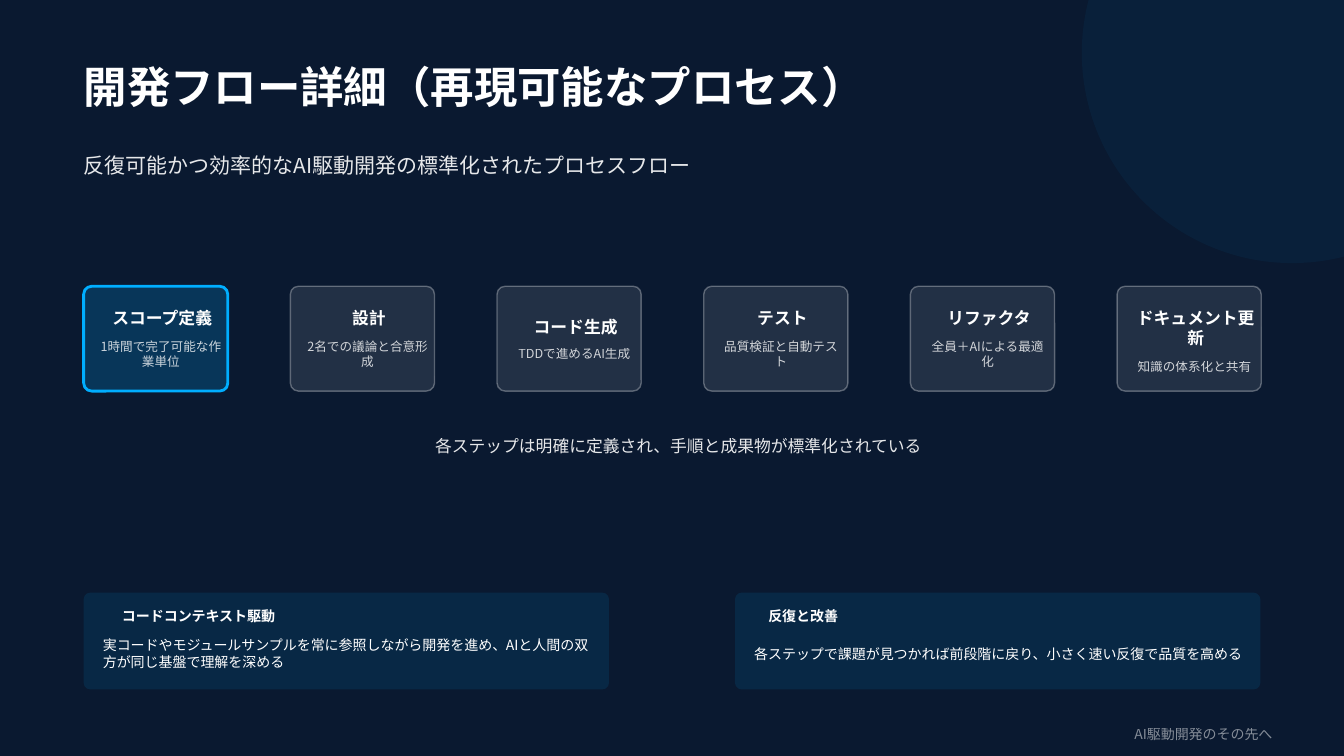
from lxml import etree
from pptx import Presentation
from pptx.dml.color import RGBColor
from pptx.enum.shapes import MSO_SHAPE
from pptx.enum.text import MSO_ANCHOR, MSO_AUTO_SIZE, PP_ALIGN
from pptx.oxml.ns import qn
from pptx.util import Inches, Pt

NAVY = RGBColor(0x0A, 0x19, 0x30)
CYAN = RGBColor(0x00, 0xAE, 0xFF)
WHITE = RGBColor(0xFF, 0xFF, 0xFF)
FONT = "Noto Sans CJK JP"
MARGIN = 0.83


def add_panel(kind, left, top, width, height, color, opacity, radius=None):
    panel = page.shapes.add_shape(
        kind, Inches(left), Inches(top), Inches(width), Inches(height))
    panel.shadow.inherit = False
    panel.fill.solid()
    panel.fill.fore_color.rgb = color
    tint = panel.element.spPr.find(qn("a:solidFill"))[0]
    etree.SubElement(tint, qn("a:alpha"), val=str(opacity * 1000))
    panel.line.fill.background()
    if radius:
        panel.adjustments[0] = radius
    return panel


def write(text, left, top, width, height, size, bold=False, opacity=100,
          align=PP_ALIGN.LEFT, box=None):
    place = [Inches(length) for length in (left, top, width, height)]
    if box is None:
        box = page.shapes.add_textbox(*place)
    box.left, box.top, box.width, box.height = place
    frame = box.text_frame
    frame.word_wrap = True
    frame.auto_size = MSO_AUTO_SIZE.NONE
    frame.vertical_anchor = MSO_ANCHOR.MIDDLE
    frame.margin_left = frame.margin_right = 0
    frame.margin_top = frame.margin_bottom = 0
    para = frame.paragraphs[0]
    para.alignment = align
    para.space_before = Pt(0)
    span = para.add_run()
    span.text = text
    span.font.name = FONT
    span.font.size = Pt(size)
    span.font.bold = bold
    span.font.color.rgb = WHITE
    props = span.font.fill and span._r.get_or_add_rPr()
    etree.SubElement(props, qn("a:ea"), typeface=FONT)
    if opacity < 100:
        tint = props.find(qn("a:solidFill"))[0]
        etree.SubElement(tint, qn("a:alpha"), val=str(opacity * 1000))


deck = Presentation()
deck.slide_width, deck.slide_height = Inches(13.33), Inches(7.5)
page = deck.slides.add_slide(deck.slide_layouts[0])

# Background
page.background.fill.solid()
page.background.fill.fore_color.rgb = NAVY

# Title and subtitle
write("開発フロー詳細（再現可能なプロセス）", MARGIN, 0.53, 8.3, 0.64, 31,
      bold=True, box=page.shapes.title)
write("反復可能かつ効率的なAI駆動開発の標準化されたプロセスフロー",
      MARGIN, 1.49, 6.3, 0.3, 15, opacity=90, box=page.placeholders[1])

# Corner circle
add_panel(MSO_SHAPE.OVAL, 10.73, -1.56, 4.17, 4.17, CYAN, 5)

# Process steps: name, detail, and the vertical centre of each
STEPS = [
    ("スコープ定義", "1時間で完了可能な作業単位", 3.155, 3.51),
    ("設計", "2名での議論と合意形成", 3.155, 3.51),
    ("コード生成", "TDDで進めるAI生成", 3.245, 3.51),
    ("テスト", "品質検証と自動テスト", 3.155, 3.51),
    ("リファクタ", "全員＋AIによる最適化", 3.155, 3.51),
    ("ドキュメント更新", "知識の体系化と共有", 3.25, 3.64),
]
STEP_PITCH = 2.05
for index, (name, detail, name_middle, detail_middle) in enumerate(STEPS):
    left = MARGIN + index * STEP_PITCH
    current = index == 0
    card = add_panel(MSO_SHAPE.ROUNDED_RECTANGLE, left, 2.84, 1.43, 1.04,
                     CYAN if current else WHITE, 20 if current else 10, 0.077)
    card.line.color.rgb = CYAN if current else WHITE
    card.line.width = Pt(2 if current else 1)
    if not current:
        outline = card.element.spPr.find(qn("a:ln")).find(qn("a:solidFill"))[0]
        etree.SubElement(outline, qn("a:alpha"), val="30000")
    name_width = min(1.3, 0.17 * len(name) + 0.08)
    write(name, left + 0.78 - name_width / 2, name_middle - 0.25, name_width,
          0.5, 12, bold=True, align=PP_ALIGN.CENTER)
    write(detail, left + 0.16, detail_middle - 0.18, 1.21, 0.36, 9,
          opacity=80, align=PP_ALIGN.CENTER)

write("各ステップは明確に定義され、手順と成果物が標準化されている",
      4.2, 4.3, 5.06, 0.25, 12, opacity=90, align=PP_ALIGN.CENTER)

# Principles: panel left, heading indent, heading, body
PRINCIPLES = [
    (MARGIN, 0.38, "コードコンテキスト駆動",
     "実コードやモジュールサンプルを常に参照しながら開発を進め、"
     "AIと人間の双方が同じ基盤で理解を深める"),
    (7.29, 0.33, "反復と改善",
     "各ステップで課題が見つかれば前段階に戻り、小さく速い反復で品質を高める"),
]
for left, indent, heading, body in PRINCIPLES:
    add_panel(MSO_SHAPE.ROUNDED_RECTANGLE, left, 5.88, 5.21, 0.96,
              CYAN, 10, 0.068)
    write(heading, left + indent, 6, 0.16 * len(heading), 0.22, 10, bold=True)
    write(body, left + 0.19, 6.27, 4.92, 0.43, 10)

# Footer
write("AI駆動開発のその先へ", 11.02, 7.18, 1.6, 0.21, 10, opacity=50,
      align=PP_ALIGN.RIGHT)

deck.save("out.pptx")
